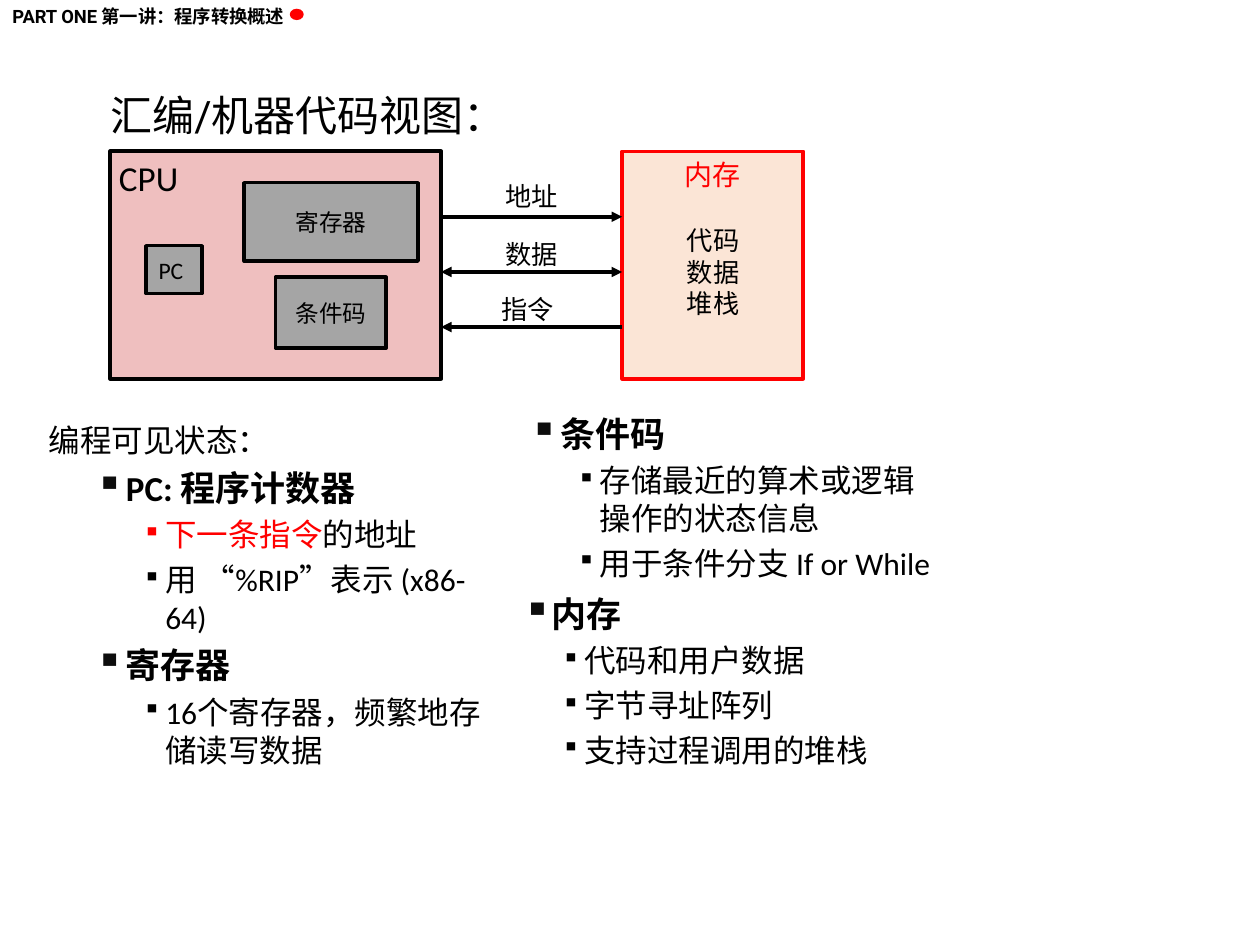
from pptx import Presentation
from pptx.dml.color import RGBColor
from pptx.enum.shapes import MSO_CONNECTOR as CONNECTOR, MSO_SHAPE as SHAPE
from pptx.enum.text import MSO_ANCHOR as ANCHOR, MSO_AUTO_SIZE as AUTO_SIZE, PP_ALIGN as ALIGN
from pptx.oxml.ns import qn
from pptx.util import Pt
from lxml.etree import SubElement

COLORS = {
    "black": "000000", "red": "FF0000", "cpu": "EFBFBF",
    "unit": "A5A5A5", "memory": "FBE5D6", "bullet": "0D0D0D",
}
WIDE_INSETS, SMALL_INSETS = (7.2, 3.6), (5, 3)

# Format of each bullet level; level 0 is a plain heading
LEVELS = {
    0: {"size": 18, "bold": False, "before": 4},
    1: {"size": 20, "bold": True, "before": 4.5, "bullet_size": 110},
    2: {"size": 18, "bold": False, "before": 4, "bullet_size": 80},
}

presentation = Presentation()
presentation.slide_width, presentation.slide_height = Pt(720), Pt(540)
slide = presentation.slides.add_slide(presentation.slide_layouts[6])
shapes = slide.shapes


def set_frame(shape, insets=WIDE_INSETS, wrap=True, anchor=ANCHOR.TOP):
    frame = shape.text_frame
    side, top = Pt(insets[0]), Pt(insets[1])
    values = {
        "margin_left": side, "margin_right": side, "margin_top": top,
        "margin_bottom": top, "word_wrap": wrap, "vertical_anchor": anchor,
    }
    for name, value in values.items():
        setattr(frame, name, value)
    return frame


def add_run(paragraph, text, size, font="Calibri", color="black", bold=False):
    run = paragraph.add_run()
    run.text = text
    for name, value in {"size": Pt(size), "name": font, "bold": bold}.items():
        setattr(run.font, name, value)
    run.font.color.rgb = RGBColor.from_string(COLORS[color])


# Header and title
for text, left, top, width, height, size, bold in (
    ("PART ONE 第一讲：程序转换概述", 0, -0.7, 174, 20, 10.5, True),
    ("汇编/机器代码视图：", 56, 47.5, 240, 36, 24, False),
):
    box = shapes.add_textbox(Pt(left), Pt(top), Pt(width), Pt(height))
    frame = set_frame(box, wrap=False)
    frame.auto_size = AUTO_SIZE.SHAPE_TO_FIT_TEXT
    add_run(frame.paragraphs[0], text, size, "Roboto", bold=bold)

dot = shapes.add_shape(SHAPE.OVAL, Pt(165.6), Pt(5), Pt(8), Pt(6.5))
dot.shadow.inherit = False
dot.fill.solid()
dot.fill.fore_color.rgb = RGBColor.from_string(COLORS["red"])
dot.line.fill.background()

# CPU, its units and the memory
CPU_LEFT, CPU_RIGHT, MEMORY_LEFT = 63, 252, 355.5
BLOCK_TOP, BLOCK_HEIGHT = 86.5, 130
unit = {"fill": "unit", "size": 13.5, "wrap": False, "anchor": ANCHOR.MIDDLE}
blocks = (
    ("CPU", CPU_LEFT, BLOCK_TOP, CPU_RIGHT - CPU_LEFT, BLOCK_HEIGHT,
     {"fill": "cpu", "size": 20, "align": ALIGN.LEFT, "insets": SMALL_INSETS, "weight": 2.25}),
    ("PC", 83.5, 140.4, 32, 27.4, {**unit, "align": ALIGN.LEFT}),
    ("寄存器", 139.5, 104.4, 99.4, 44.8, unit),
    ("条件码", 157.5, 158.4, 63.2, 40.5, unit),
    ("内存", MEMORY_LEFT, BLOCK_TOP, 103.5, BLOCK_HEIGHT,
     {"fill": "memory", "size": 16, "wrap": False, "line": "red", "color": "red"}),
)
for text, left, top, width, height, look in blocks:
    block = shapes.add_shape(SHAPE.RECTANGLE, Pt(left), Pt(top), Pt(width), Pt(height))
    block.shadow.inherit = False
    block.fill.solid()
    block.fill.fore_color.rgb = RGBColor.from_string(COLORS[look["fill"]])
    block.line.color.rgb = RGBColor.from_string(COLORS[look.get("line", "black")])
    block.line.width = Pt(look.get("weight", 2))
    frame = set_frame(block, look.get("insets", WIDE_INSETS), look.get("wrap", True),
                      look.get("anchor", ANCHOR.TOP))
    paragraph = frame.paragraphs[0]
    paragraph.alignment = look.get("align", ALIGN.CENTER)
    add_run(paragraph, text, look["size"], color=look.get("color", "black"))

# Memory contents and bus labels
for lines, left, top, width, height in (
    (("代码", "数据", "堆栈"), 373.7, 125.3, 67.7, 60),
    (("地址",), CPU_RIGHT, 100, 103.5, 23),
    (("数据",), CPU_RIGHT, 133.2, 103.5, 23),
    (("指令",), CPU_RIGHT, 164.4, 99, 23),
):
    box = shapes.add_textbox(Pt(left), Pt(top), Pt(width), Pt(height))
    frame = set_frame(box, SMALL_INSETS)
    for index, text in enumerate(lines):
        paragraph = frame.add_paragraph() if index else frame.paragraphs[0]
        paragraph.alignment = ALIGN.CENTER
        add_run(paragraph, text, 15)

# Bus arrows: address, data, instructions
for index, ends in enumerate((("tailEnd",), ("headEnd", "tailEnd"), ("headEnd",))):
    y = Pt(123.9 + 31.5 * index)
    arrow = shapes.add_connector(CONNECTOR.STRAIGHT, Pt(CPU_RIGHT), y, Pt(MEMORY_LEFT), y)
    arrow.line.color.rgb = RGBColor.from_string(COLORS["black"])
    arrow.line.width = Pt(2)
    properties = arrow._element.spPr
    for end in ends:
        SubElement(properties.find(qn("a:ln")), qn(f"a:{end}"), type="triangle")
    SubElement(properties, qn("a:effectLst"))

# Bullet lists: (left, top, width, height), insets, {level: (margin, indent)}, items
outer_indents = {0: (0, 0), 1: (44, -17.5), 2: (66.5, -13)}
inner_indents = {1: (23, -13.5), 2: (44.5, -13)}
lists = (
    ((269.3, 232, 278.6, 106), WIDE_INSETS, outer_indents, (
        (1, [("条件码", "Roboto")]),
        (2, [("存储最近的算术或逻辑操作的状态信息", "Calibri")]),
        (2, [("用于条件分支 If or While", "Calibri")]),
    )),
    ((284.4, 335.5, 331, 116), SMALL_INSETS, inner_indents, (
        (1, [("内存", "Calibri")]),
        (2, [("代码和用户数据", "Calibri")]),
        (2, [("字节寻址阵列", "Calibri")]),
        (2, [("支持过程调用的堆栈", "Calibri")]),
    )),
    ((20.9, 236.9, 263.5, 188), WIDE_INSETS, outer_indents, (
        (0, [("编程可见状态：", "Roboto")]),
        (1, [("PC: 程序计数器", "Calibri")]),
        (2, [("下一条指令", "Roboto", "red"), ("的地址", "Roboto")]),
        (2, [("用 “%RIP”表示 (x86-64)", "Calibri")]),
        (1, [("寄存器", "Roboto")]),
        (2, [("16个寄存器，频繁地存储读写数据", "Calibri")]),
    )),
)
for bounds, insets, indents, items in lists:
    frame = set_frame(shapes.add_textbox(*map(Pt, bounds)), insets)
    for index, (level, runs) in enumerate(items):
        style = LEVELS[level]
        paragraph = frame.add_paragraph() if index else frame.paragraphs[0]
        paragraph.level = level
        paragraph.space_before = Pt(style["before"] if index else 0)
        properties = paragraph._p.get_or_add_pPr()
        margin, indent = indents[level]
        properties.set("marL", str(Pt(margin)))
        properties.set("indent", str(Pt(indent)))
        if level == 1:
            bullet_color = SubElement(properties, qn("a:buClr"))
            SubElement(bullet_color, qn("a:srgbClr"), val=COLORS["bullet"])
        if level:
            SubElement(properties, qn("a:buSzPct"), val=str(style["bullet_size"] * 1000))
            SubElement(properties, qn("a:buChar"), char="▪")
        for text, font, *color in runs:
            add_run(paragraph, text, style["size"], font, *color, bold=style["bold"])

presentation.save("out.pptx")
